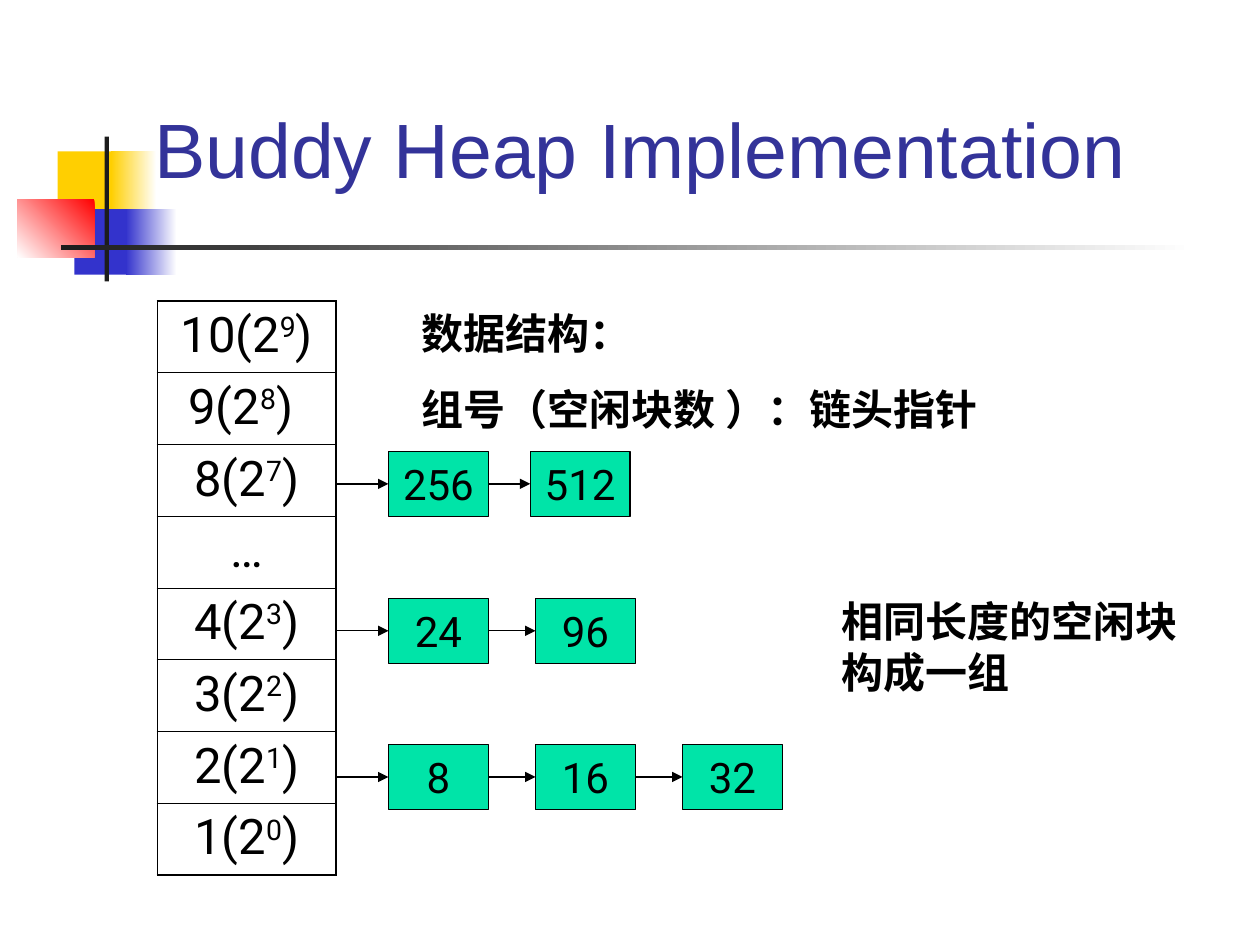
"""Build the Buddy Heap Implementation slide: free-block table with linked lists."""
import dataclasses

import lxml.etree
import pptx
import pptx.dml.color
import pptx.enum.shapes
import pptx.enum.text
import pptx.oxml.ns
import pptx.util

Pt = pptx.util.Pt
RGB = pptx.dml.color.RGBColor.from_string
qn = pptx.oxml.ns.qn
RECTANGLE = pptx.enum.shapes.MSO_SHAPE.RECTANGLE
STRAIGHT = pptx.enum.shapes.MSO_CONNECTOR.STRAIGHT
ALIGN = pptx.enum.text.PP_ALIGN
MIDDLE = pptx.enum.text.MSO_ANCHOR.MIDDLE


@dataclasses.dataclass(frozen=True)
class Theme:
    ink: str = "000000"
    title: str = "333399"
    block: str = "00E4A8"
    yellow: str = "FFCF01"
    blue: str = "3333CC"
    red: str = "FF0000"
    bar: str = "1C1C1C"
    white: str = "FFFFFF"
    title_font: str = "Arial"
    body_font: str = "Roboto"
    title_size: int = 44
    table_size: int = 28
    body_size: int = 24


theme = Theme()


def add_run(paragraph, text, size=theme.body_size, bold=False, font=theme.body_font, color=theme.ink):
    run = paragraph.add_run()
    run.text = text
    run.font.size = Pt(size)
    run.font.bold = bold
    run.font.name = font
    run.font.color.rgb = RGB(color)
    return run


def add_rectangle(left, top, width, height, colors, angle=180):
    shape = slide.shapes.add_shape(RECTANGLE, Pt(left), Pt(top), Pt(width), Pt(height))
    shape.shadow.inherit = False
    shape.line.fill.background()
    if len(colors) == 1:
        shape.fill.solid()
        shape.fill.fore_color.rgb = RGB(colors[0])
    else:
        shape.fill.gradient()
        shape.fill.gradient_angle = angle
        for stop, color in zip(shape.fill.gradient_stops, colors):
            stop.color.rgb = RGB(color)
    return shape


presentation = pptx.Presentation()
presentation.slide_width = Pt(720)
presentation.slide_height = Pt(540)
slide = presentation.slides.add_slide(presentation.slide_layouts[6])

add_rectangle(33, 86.5, 34.5, 37.5, [theme.yellow])
add_rectangle(63.5, 86.5, 26, 37.5, [theme.white, theme.yellow])
add_rectangle(42.5, 119.5, 33, 37.5, [theme.blue])
add_rectangle(72, 119.5, 29, 37.5, [theme.white, theme.blue])
add_rectangle(10, 113.8, 44, 33.2, [theme.red, theme.white], 225)
add_rectangle(59.8, 78, 2.4, 82.8, [theme.bar])
add_rectangle(34.6, 140.2, 648, 2.4, [theme.white, theme.bar])

groups = [("10(2", "9", ")"), ("9(2", "8", ") "), ("8(2", "7", ")"), ("…",),
          ("4(2", "3", ")"), ("3(2", "2", ")"), ("2(2", "1", ")"), ("1(2", "0", ")")]
table_left, table_width, row_height = 90, 102, 41
table = slide.shapes.add_table(len(groups), 1, Pt(table_left), Pt(172), Pt(table_width),
                               Pt(row_height * len(groups))).table
table.first_row = False
table.horz_banding = False
for index, parts in enumerate(groups):
    table.rows[index].height = Pt(row_height)
    cell = table.cell(index, 0)
    cell.fill.background()
    paragraph = cell.text_frame.paragraphs[0]
    paragraph.alignment = ALIGN.CENTER
    paragraph.space_before = Pt(7)
    for position, part in enumerate(parts):
        run = add_run(paragraph, part, theme.table_size)
        if position == 1:
            run.font._element.set("baseline", "30000")
    top_width = 1.08 if index == 0 else 0.45
    bottom_width = 1.08 if index == len(groups) - 1 else 0.45
    borders = [("a:lnL", 1.08), ("a:lnR", 1.08), ("a:lnT", top_width), ("a:lnB", bottom_width)]
    properties = cell._tc.get_or_add_tcPr()
    for position, (tag, width) in enumerate(borders):
        border = lxml.etree.Element(qn(tag), w=str(Pt(width)))
        fill = lxml.etree.SubElement(border, qn("a:solidFill"))
        lxml.etree.SubElement(fill, qn("a:srgbClr"), val=theme.ink)
        properties.insert(position, border)

title = slide.shapes.add_textbox(Pt(60), Pt(43.2), Pt(612), Pt(82.8)).text_frame
title.word_wrap = True
title.vertical_anchor = MIDDLE
title.paragraphs[0].alignment = ALIGN.CENTER
add_run(title.paragraphs[0], "Buddy Heap Implementation", theme.title_size,
        font=theme.title_font, color=theme.title)

notes = [(234, 172, 438, 80, ["数据结构：", "组号（空闲块数 ）：链头指针"]),
         (474, 337, 210, 65, ["相同长度的空闲块构成一组"])]
for left, top, width, height, lines in notes:
    frame = slide.shapes.add_textbox(Pt(left), Pt(top), Pt(width), Pt(height)).text_frame
    frame.word_wrap = True
    frame.auto_size = pptx.enum.text.MSO_AUTO_SIZE.SHAPE_TO_FIT_TEXT
    for index, line in enumerate(lines):
        paragraph = frame.add_paragraph() if index else frame.paragraphs[0]
        paragraph.space_before = Pt(15)
        add_run(paragraph, line, bold=True)

block_left, block_width, block_height = 222, 57, 37
chains = [(258, 81, ["256", "512"]), (342, 84, ["24", "96"]), (425.5, 84, ["8", "16", "32"])]
for top, step, addresses in chains:
    previous = None
    for index, address in enumerate(addresses):
        block = add_rectangle(block_left + index * step, top, block_width, block_height, [theme.block])
        block.line.color.rgb = RGB(theme.ink)
        block.line.width = Pt(0.75)
        block.text_frame.word_wrap = False
        block.text_frame.vertical_anchor = MIDDLE
        block.text_frame.paragraphs[0].alignment = ALIGN.CENTER
        add_run(block.text_frame.paragraphs[0], address)

        middle = Pt(top + block_height / 2)
        arrow = slide.shapes.add_connector(STRAIGHT, Pt(table_left + table_width), middle, block.left, middle)
        if previous is not None:
            arrow.begin_connect(previous, 3)
        arrow.end_connect(block, 1)
        arrow.line.color.rgb = RGB(theme.ink)
        arrow.line.width = Pt(0.75)
        lxml.etree.SubElement(arrow.line._get_or_add_ln(), qn("a:tailEnd"), type="triangle")
        lxml.etree.SubElement(arrow._element.spPr, qn("a:effectLst"))
        previous = block

presentation.save("out.pptx")
